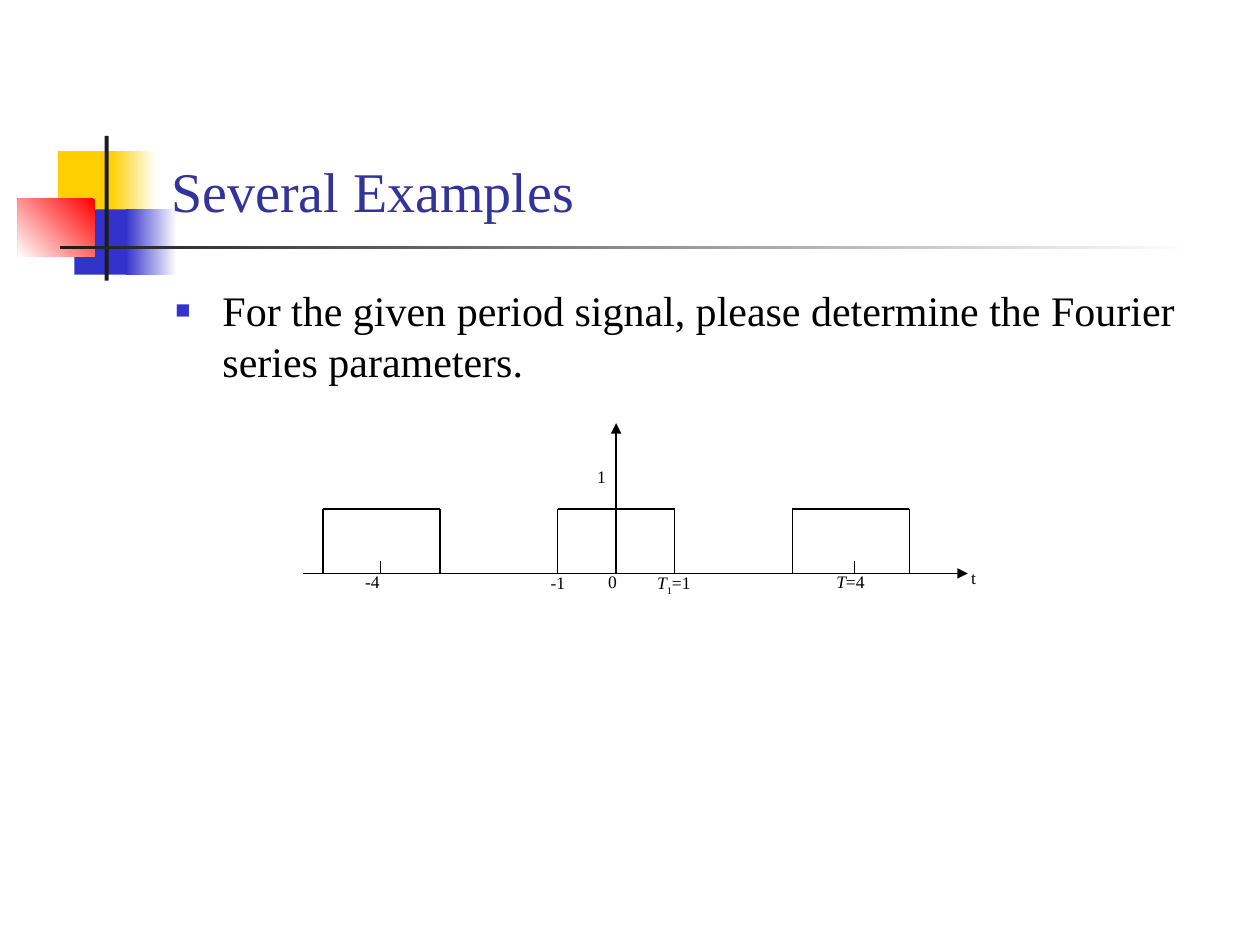
from lxml import etree
from pptx import Presentation
from pptx.dml.color import RGBColor
from pptx.enum import shapes, text
from pptx.oxml.ns import qn
from pptx.util import Cm, Pt

# Content
TITLE = "Several Examples"
BODY = ("For the given period signal, please determine the Fourier "
        "series parameters.")
# Axis labels: left, top, width (cm), runs of (text, style)
LABELS = [
    (19.33, 11.3, 1.19, [("t", "")]),
    (11.79, 9.27, 1.19, [("1", "")]),
    (7.11, 11.38, 1.19, [("-4", "")]),
    (10.85, 11.4, 1.19, [("-1", "")]),
    (13.0, 11.4, 1.57, [("T", "italic"), ("1", "sub"), ("=1", "")]),
    (16.61, 11.38, 1.78, [("T", "italic"), ("=4", "")]),
    (12.01, 11.38, 1.19, [("0", "")]),
]

# Theme
THEME = dict(
    font="Times New Roman", title_size=32, body_size=24, label_size=10,
    title="333399", ink="000000", paper="FFFFFF",
    gold="FFCF01", blue="3333CC", red="FF0000", bar="1C1C1C",
)

# Corner ornament: left, top, width, height (cm), colours, gradient angle
ORNAMENT = [
    (1.17, 3.05, 1.22, 1.32, ["gold"], 0),
    (2.24, 3.05, 0.91, 1.32, ["paper", "gold"], 180),
    (1.5, 4.22, 1.17, 1.32, ["blue"], 0),
    (2.54, 4.22, 1.02, 1.32, ["paper", "blue"], 180),
    (0.36, 4.01, 1.55, 1.17, ["red", "paper"], 225),
    (2.11, 2.74, 0.08, 2.92, ["bar"], 0),
    (1.22, 4.95, 22.86, 0.08, ["paper", "bar"], 180),
]

# Signal geometry (cm)
ORIGIN_X, AXIS_Y, PULSE_TOP = 12.42, 11.56, 10.26
PERIOD, HALF_PULSE = 4.73, 1.18
AXIS_LEFT, AXIS_RIGHT, AXIS_TOP = 6.1, 19.51, 8.53
TICKS, TICK_TOP, TICK_BOTTOM = (17.22, 7.67), 11.3, 11.58
LABEL_HEIGHT = 1.3


def color(name):
    return RGBColor.from_string(THEME[name])


def write(p, words, size, ink="ink", style=""):
    r = p.add_run()
    r.text = words
    r.font.name = THEME["font"]
    r.font.size = Pt(THEME[size])
    r.font.color.rgb = color(ink)
    r.font.italic = style == "italic"
    if style == "sub":
        r.font._element.set("baseline", "-30000")
    return r


def add_rect(slide, left, top, width, height, colors, angle=0):
    sp = slide.shapes.add_shape(shapes.MSO_SHAPE.RECTANGLE, Cm(left), Cm(top),
                                Cm(width), Cm(height))
    sp.shadow.inherit = False
    sp.line.fill.background()
    if len(colors) == 1:
        sp.fill.solid()
        sp.fill.fore_color.rgb = color(colors[0])
    else:
        sp.fill.gradient()
        sp.fill.gradient_angle = angle
        for stop, name, position in zip(sp.fill.gradient_stops, colors, (0, 1)):
            stop.color.rgb = color(name)
            stop.position = position
    return sp


def add_line(slide, x1, y1, x2, y2, arrow=False):
    line = slide.shapes.add_connector(shapes.MSO_CONNECTOR.STRAIGHT,
                                      Cm(x1), Cm(y1), Cm(x2), Cm(y2))
    line.line.color.rgb = color("ink")
    line.line.width = Pt(0.75)
    if arrow:
        etree.SubElement(line.line._get_or_add_ln(), qn("a:tailEnd"),
                         type="triangle")
    etree.SubElement(line._element.spPr, qn("a:effectLst"))


def place(sp, left, top, width, height, anchor):
    sp.left, sp.top, sp.width, sp.height = map(Cm, (left, top, width, height))
    tf = sp.text_frame
    tf.word_wrap = True
    tf.auto_size = text.MSO_AUTO_SIZE.NONE
    tf.vertical_anchor = anchor
    p = tf.paragraphs[0]
    p.alignment = text.PP_ALIGN.LEFT
    return p


def add_bullet(p):
    pPr = p._element.get_or_add_pPr()
    pPr.set("marL", str(Cm(0.95)))
    pPr.set("indent", str(-Cm(0.95)))
    clr = etree.SubElement(pPr, qn("a:buClr"))
    etree.SubElement(clr, qn("a:srgbClr"), val=THEME["blue"])
    etree.SubElement(pPr, qn("a:buSzPct"), val="60000")
    etree.SubElement(pPr, qn("a:buFont"), typeface=THEME["font"])
    etree.SubElement(pPr, qn("a:buChar"), char="■")


def add_signal(slide):
    # Labels lie behind the lines
    for left, top, width, runs in LABELS:
        sp = add_rect(slide, left, top, width, LABEL_HEIGHT, ["paper"])
        p = place(sp, left, top, width, LABEL_HEIGHT, text.MSO_ANCHOR.TOP)
        for words, style in runs:
            write(p, words, "label_size", style=style)
    # Axes
    add_line(slide, AXIS_LEFT, AXIS_Y, AXIS_RIGHT, AXIS_Y, arrow=True)
    add_line(slide, ORIGIN_X, AXIS_Y, ORIGIN_X, AXIS_TOP, arrow=True)
    # One pulse per period
    for n in (0, 1, -1):
        center = ORIGIN_X + n * PERIOD
        left, right = center - HALF_PULSE, center + HALF_PULSE
        add_line(slide, left, PULSE_TOP, right, PULSE_TOP)
        for x in (right, left):
            add_line(slide, x, PULSE_TOP, x, AXIS_Y)
    # Period ticks
    for x in TICKS:
        add_line(slide, x, TICK_TOP, x, TICK_BOTTOM)


def main():
    prs = Presentation()
    prs.slide_width, prs.slide_height = Cm(25.4), Cm(19.05)
    slide = prs.slides.add_slide(prs.slide_layouts[1])
    title, body = slide.placeholders

    # Ornament, with the placeholders raised above it
    for part in ORNAMENT:
        add_rect(slide, *part)
    for sp in (title, body):
        slide.shapes._spTree.append(sp._element)

    # Title and body
    p = place(title, 3.2, 0.58, 21.64, 4.06, text.MSO_ANCHOR.BOTTOM)
    write(p, TITLE, "title_size", "title")
    p = place(body, 3.28, 5.61, 21.59, 11.43, text.MSO_ANCHOR.TOP)
    add_bullet(p)
    write(p, BODY, "body_size")

    add_signal(slide)
    prs.save("out.pptx")


if __name__ == "__main__":
    main()
